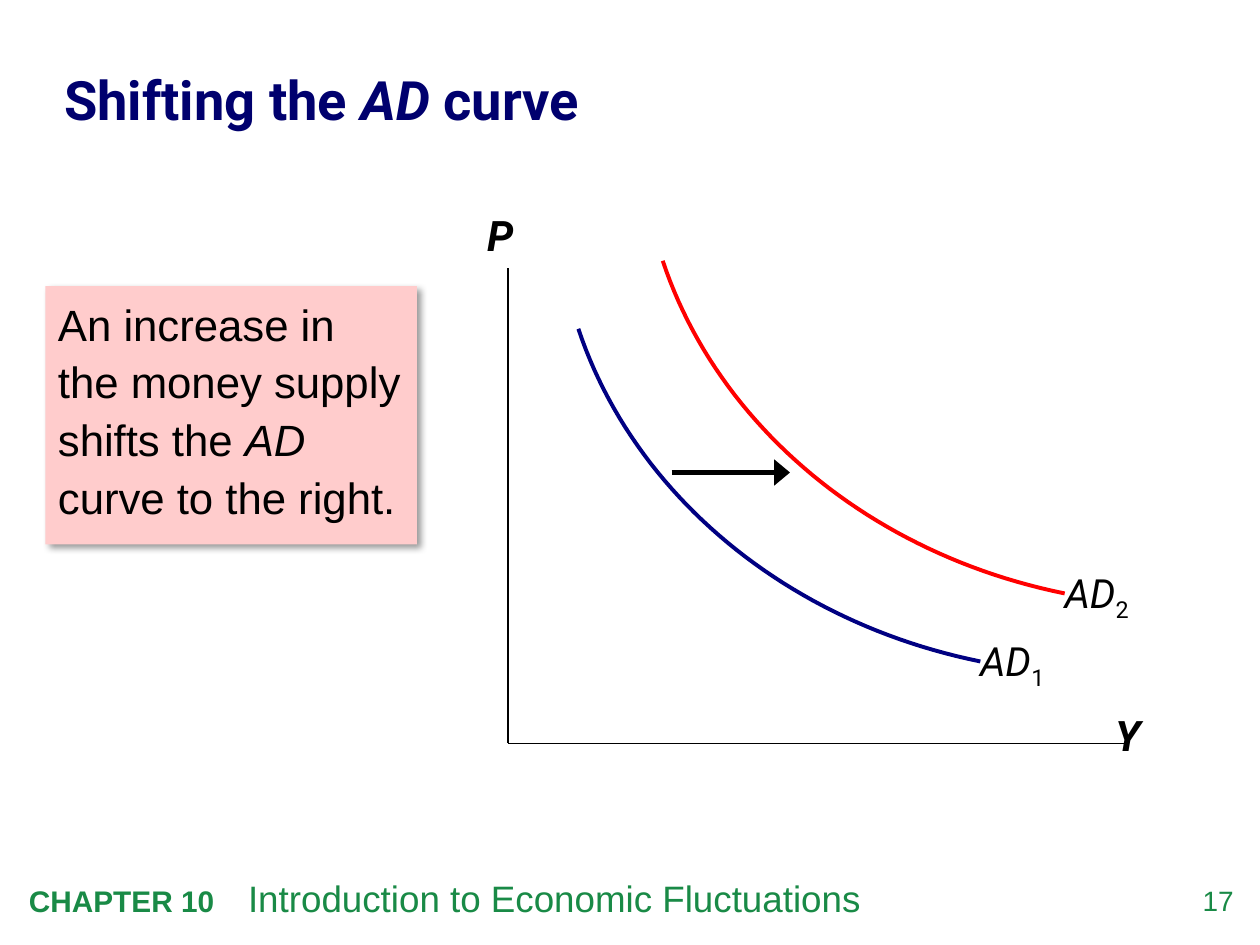
from lxml import etree
from pptx import Presentation
from pptx.dml.color import RGBColor
from pptx.enum import shapes, text
from pptx.oxml import parse_xml
from pptx.oxml.ns import nsdecls, qn
from pptx.util import Inches, Pt

COLORS = {"title": "00006E", "footer": "198A46", "note": "FFCCCC",
          "ink": "000000", "first": "000082", "second": "FF0000"}

# Content: each span is (text, format changes)
TITLE = [("Shifting the ", {}), ("AD", {"italic": True}), (" curve", {})]
NOTE = [("An increase in the money supply shifts the ", {}),
        ("AD", {"italic": True}), (" curve to the right.", {})]
FOOTER = [("CHAPTER 10\t", {"bold": True, "size": 17}),
          ("Introduction to Economic Fluctuations", {})]
PAGE_NUMBER = [("17", {})]

# Graph geometry in inches
ORIGIN, P_TOP, Y_END = (4.03, 5.9), (4.03, 2.13), (8.94, 5.9)
AXIS_LABELS = [("P", (3.67, 1.61, 0.6, 0.5)), ("Y", (8.53, 5.58, 0.84, 0.5))]
DEMAND = [(7.78, 5.25), (6.25, 4.94), (5.03, 3.93), (4.59, 2.61)]
CURVES = [("1", "first", (0, 0)), ("2", "second", (0.67, -0.54))]
CURVE_LABEL = (7.68, 5.0, 0.75, 0.48)
SHIFT_ARROW = ((5.33, 3.75), (6.27, 3.75))
STEPS = 48


def rgb(name):
    return RGBColor.from_string(COLORS[name])


def write(frame, spans, font, size, color, align=text.PP_ALIGN.LEFT,
          bold=False, inset=None):
    frame.word_wrap = True
    frame.auto_size = text.MSO_AUTO_SIZE.NONE
    if inset is not None:
        frame.margin_left = frame.margin_right = Inches(inset)
        frame.margin_top = frame.margin_bottom = Inches(inset)
    para = frame.paragraphs[0]
    para.alignment = align
    for words, changes in spans:
        span = para.add_run()
        span.text = words
        span.font.name = font
        span.font.size = Pt(changes.get("size", size))
        span.font.bold = changes.get("bold", bold)
        span.font.italic = changes.get("italic", False)
        span.font.color.rgb = rgb(color)
        if "baseline" in changes:
            span.font._element.set("baseline", str(changes["baseline"]))
    return para


def place(shape, left, top, width, height):
    shape.left, shape.top = Inches(left), Inches(top)
    shape.width, shape.height = Inches(width), Inches(height)


def add_text(page, area, spans, *style, **options):
    box = page.shapes.add_textbox(*map(Inches, area))
    return write(box.text_frame, spans, *style, **options)


def add_line(page, start, end, width, arrow=False):
    line = page.shapes.add_connector(
        shapes.MSO_CONNECTOR.STRAIGHT, *map(Inches, start + end))
    line.line.color.rgb = rgb("ink")
    line.line.width = Pt(width)
    if arrow:
        etree.SubElement(line.line._get_or_add_ln(), qn("a:tailEnd"),
                         type="triangle", w="lg", len="med")
    etree.SubElement(line._element.spPr, qn("a:effectLst"))


def bezier(controls, t):
    weights = ((1 - t) ** 3, 3 * t * (1 - t) ** 2, 3 * t ** 2 * (1 - t), t ** 3)
    return tuple(Inches(sum(w * point[axis]
                            for w, point in zip(weights, controls)))
                 for axis in (0, 1))


def add_curve(page, controls, color):
    points = [bezier(controls, step / STEPS) for step in range(STEPS + 1)]
    builder = page.shapes.build_freeform(*points[0])
    builder.add_line_segments(points[1:], close=False)
    curve = builder.convert_to_shape()
    curve.fill.background()
    curve.line.color.rgb = rgb(color)
    curve.line.width = Pt(2.25)
    curve.shadow.inherit = False


def main():
    deck = Presentation()
    deck.slide_width, deck.slide_height = Inches(10), Inches(7.5)
    page = deck.slides.add_slide(deck.slide_layouts[1])
    title, note = page.placeholders

    # Footer
    add_text(page, (9.24, 7.01, 0.55, 0.32), PAGE_NUMBER, "Arial", 16,
             "footer", align=text.PP_ALIGN.RIGHT, inset=0)
    chapter = add_text(page, (0.13, 6.9, 8.18, 0.45), FOOTER, "Arial", 21,
                       "footer")
    tabs = etree.SubElement(chapter._p.get_or_add_pPr(), qn("a:tabLst"))
    etree.SubElement(tabs, qn("a:tab"), pos=str(Inches(1.74)), algn="l")

    # Title
    place(title, 0.51, 0.26, 9.02, 1.03)
    title.text_frame.vertical_anchor = text.MSO_ANCHOR.MIDDLE
    heading = write(title.text_frame, TITLE, "Roboto", 31, "title",
                    bold=True, inset=0)
    heading.line_spacing = 1.05

    # Note with a soft shadow
    place(note, 0.36, 2.27, 2.95, 2.05)
    note.fill.solid()
    note.fill.fore_color.rgb = rgb("note")
    note._element.spPr.append(parse_xml(
        f'<a:effectLst {nsdecls("a")}><a:outerShdw blurRad="{Pt(4)}" '
        f'dist="{Pt(3)}" dir="2700000" algn="tl"><a:srgbClr '
        f'val="{COLORS["ink"]}"><a:alpha val="40000"/></a:srgbClr>'
        '</a:outerShdw></a:effectLst>'))
    para = write(note.text_frame, NOTE, "Arial", 25, "ink")
    para.line_spacing = 1.1
    para.space_before = Pt(11)
    properties = para._p.get_or_add_pPr()
    properties.set("marL", "0")
    properties.set("indent", "0")
    etree.SubElement(properties, qn("a:buNone"))

    # Axes
    add_line(page, P_TOP, ORIGIN, 1)
    add_line(page, ORIGIN, Y_END, 1)
    for name, area in AXIS_LABELS:
        add_text(page, area, [(name, {"italic": True})], "Roboto", 24, "ink",
                 align=text.PP_ALIGN.CENTER, bold=True)

    # Demand curves, the second one shifted from the first
    for number, color, (dx, dy) in CURVES:
        add_curve(page, [(x + dx, y + dy) for x, y in DEMAND], color)
        left, top, width, height = CURVE_LABEL
        add_text(page, (left + dx, top + dy, width, height),
                 [("AD", {"italic": True}), (number, {"baseline": -25000})],
                 "Roboto", 23, "ink")

    # Shift arrow
    add_line(page, *SHIFT_ARROW, 3, arrow=True)
    deck.save("out.pptx")


if __name__ == "__main__":
    main()
